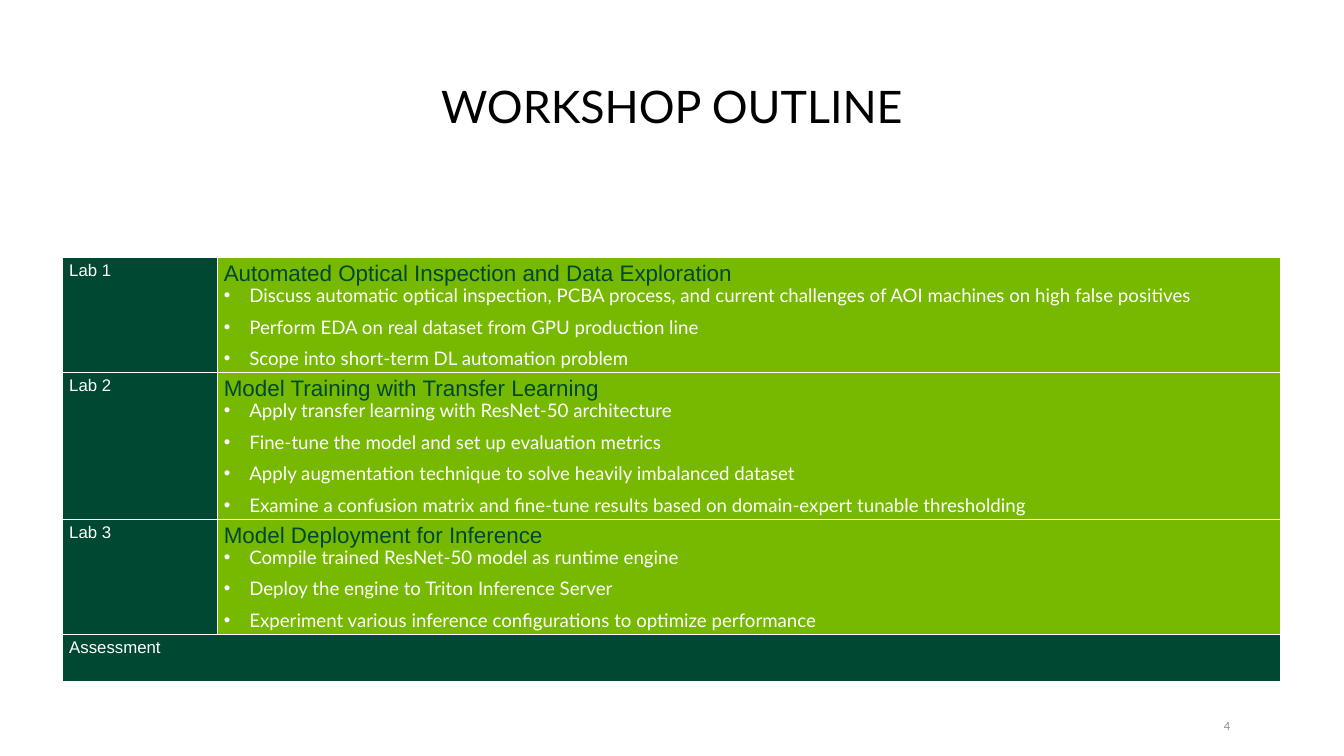
from lxml.etree import SubElement
from pptx import Presentation
from pptx.dml.color import RGBColor
from pptx.enum.text import MSO_ANCHOR, PP_ALIGN
from pptx.oxml.ns import qn
from pptx.util import Inches, Pt

COLORS = {"green": "76B900", "forest": "004831", "white": "FFFFFF", "black": "000000", "gray": "8C8C8C"}

TITLE = {"name": "Lato", "size": Pt(48), "color": "black"}
PAGE_NUMBER = {"name": "Lato", "size": Pt(12), "color": "gray"}
LAB_LABEL = {"name": "Arial", "size": Pt(18), "color": "white"}
LAB_HEADING = {"name": "Arial", "size": Pt(24), "color": "forest"}
LAB_TOPIC = {"name": "Lato", "size": Pt(20), "color": "white"}

LABS = [
    ("Lab 1", "Automated Optical Inspection and Data Exploration", [
        "Discuss automatic optical inspection, PCBA process, and current challenges of AOI machines "
        "on high false positives",
        "Perform EDA on real dataset from GPU production line",
        "Scope into short-term DL automation problem",
    ]),
    ("Lab 2", "Model Training with Transfer Learning", [
        "Apply transfer learning with ResNet-50 architecture",
        "Fine-tune the model and set up evaluation metrics",
        "Apply augmentation technique to solve heavily imbalanced dataset",
        "Examine a confusion matrix and fine-tune results based on domain-expert tunable thresholding",
    ]),
    ("Lab 3", "Model Deployment for Inference", [
        "Compile trained ResNet-50 model as runtime engine",
        "Deploy the engine to Triton Inference Server",
        "Experiment various inference configurations to optimize performance",
    ]),
]


def rgb(color):
    return RGBColor.from_string(COLORS[color])


def write(paragraph, text, text_format):
    run = paragraph.add_run()
    run.text = text
    for name, value in text_format.items():
        if name == "color":
            run.font.color.rgb = rgb(value)
        else:
            setattr(run.font, name, value)


def make_bullet(paragraph):
    paragraph.line_spacing = 0.9
    paragraph.space_after = Pt(12)
    properties = paragraph._p.get_or_add_pPr()
    properties.set("marL", str(Inches(0.38)))
    properties.set("indent", str(Inches(-0.38)))
    SubElement(properties, qn("a:buFont"), typeface="Arial")
    SubElement(properties, qn("a:buChar"), char="•")


def style_cell(cell, color):
    """Give the cell a thin white border on every side, a solid fill and tight margins."""
    properties = cell._tc.get_or_add_tcPr()
    for side in ("lnL", "lnR", "lnT", "lnB"):
        line = SubElement(properties, qn(f"a:{side}"), w=str(Pt(1)))
        fill = SubElement(line, qn("a:solidFill"))
        SubElement(fill, qn("a:srgbClr"), val=COLORS["white"])
    cell.fill.solid()
    cell.fill.fore_color.rgb = rgb(color)
    cell.margin_top = Inches(0.06)
    cell.margin_bottom = Inches(0.02)


def add_line_of_text(slide, box, text, text_format, frame_format, paragraph_format):
    frame = slide.shapes.add_textbox(*map(Inches, box)).text_frame
    for name, value in frame_format.items():
        setattr(frame, name, value)
    paragraph = frame.paragraphs[0]
    for name, value in paragraph_format.items():
        setattr(paragraph, name, value)
    write(paragraph, text, text_format)


def add_title(slide, box):
    add_line_of_text(slide, box, "WORKSHOP OUTLINE", TITLE,
                     {"word_wrap": True, "vertical_anchor": MSO_ANCHOR.BOTTOM},
                     {"alignment": PP_ALIGN.CENTER, "line_spacing": 0.9})


def add_page_number(slide, box):
    margins = {f"margin_{side}": 0 for side in ("left", "top", "right", "bottom")}
    add_line_of_text(slide, box, "4", PAGE_NUMBER,
                     {"word_wrap": True, "vertical_anchor": MSO_ANCHOR.MIDDLE, **margins},
                     {"alignment": PP_ALIGN.RIGHT})


def add_outline_table(slide, box):
    left, top, width, height = map(Inches, box)
    table = slide.shapes.add_table(len(LABS) + 1, 2, left, top, width, height).table
    label_width = Inches(2.3)
    table.columns[0].width = label_width
    table.columns[1].width = width - label_width
    for row, (_, _, topics) in zip(table.rows, LABS):
        row.height = Inches(0.33 + 0.45 * len(topics))
    assessment_row = len(LABS)
    table.rows[assessment_row].height = Inches(0.7)

    for row, (label, heading, topics) in enumerate(LABS):
        label_cell, content_cell = table.cell(row, 0), table.cell(row, 1)
        style_cell(label_cell, "forest")
        style_cell(content_cell, "green")
        write(label_cell.text_frame.paragraphs[0], label, LAB_LABEL)
        content = content_cell.text_frame
        write(content.paragraphs[0], heading, LAB_HEADING)
        for topic in topics:
            paragraph = content.add_paragraph()
            make_bullet(paragraph)
            write(paragraph, topic, LAB_TOPIC)

    assessment = table.cell(assessment_row, 0)
    assessment.merge(table.cell(assessment_row, 1))
    for column in range(2):
        style_cell(table.cell(assessment_row, column), "forest")
    write(assessment.text_frame.paragraphs[0], "Assessment", LAB_LABEL)


def main():
    presentation = Presentation()
    presentation.slide_width = Inches(20)
    presentation.slide_height = Inches(11.25)
    slide = presentation.slides.add_slide(presentation.slide_layouts[6])
    slide.background.fill.solid()
    slide.background.fill.fore_color.rgb = rgb("white")
    add_page_number(slide, (17.72, 10.71, 0.59, 0.2))
    add_title(slide, (0.91, 0.95, 18.18, 1.08))
    add_outline_table(slide, (0.93, 3.83, 18.13, 6.19))
    presentation.save("out.pptx")


if __name__ == "__main__":
    main()
